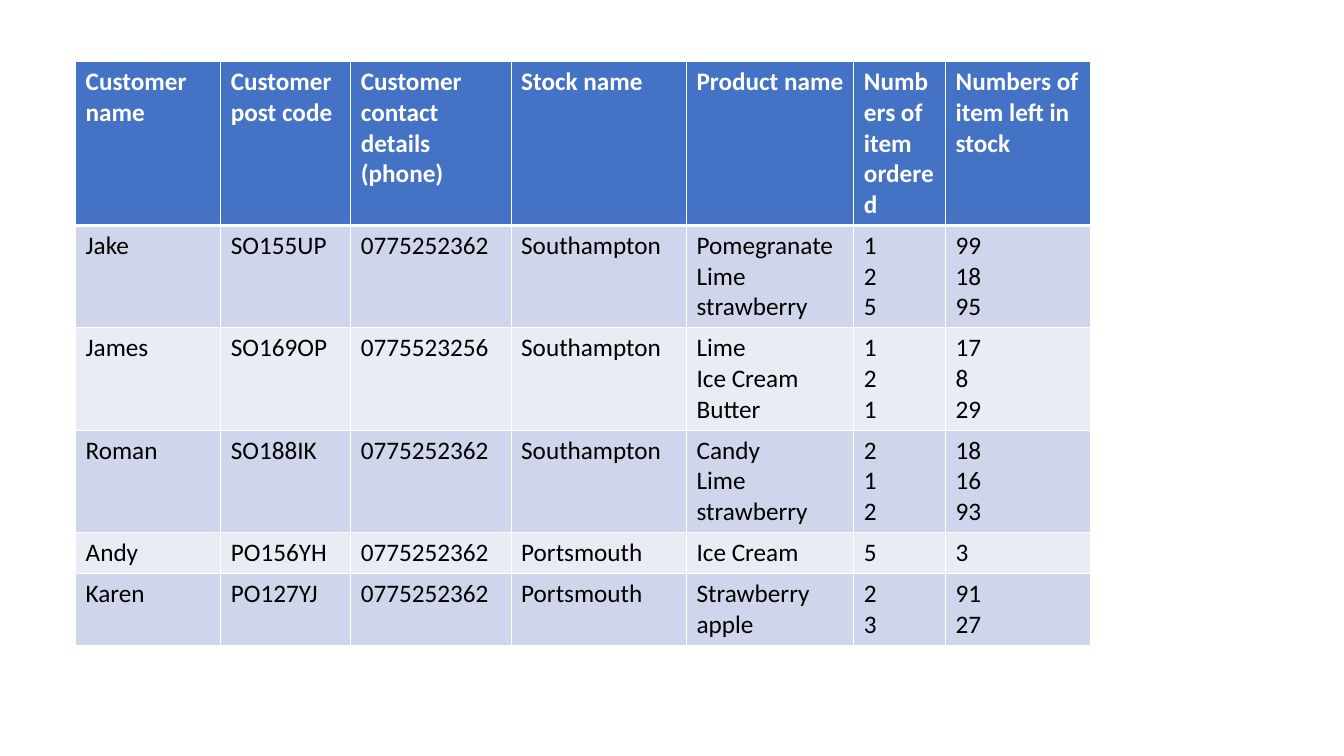
"""Build a slide with a table of customer orders and remaining stock."""
from lxml import etree
from pptx import Presentation
from pptx import util as u
from pptx.dml.color import RGBColor
from pptx.oxml import ns

WHITE = RGBColor(0xFF, 0xFF, 0xFF)
BLACK = RGBColor(0x00, 0x00, 0x00)
BLUE = RGBColor(0x44, 0x72, 0xC4)
BANDS = [RGBColor(0xE9, 0xEB, 0xF5), RGBColor(0xCF, 0xD5, 0xEA)]

ROWS = [
    ["Customer name", "Customer post code", "Customer contact details (phone)", "Stock name",
     "Product name", "Numbers of item ordered", "Numbers of item left in stock"],
    ["Jake", "SO155UP", "0775252362", "Southampton",
     "Pomegranate\nLime\nstrawberry", "1\n2\n5", "99\n18\n95"],
    ["James", "SO169OP", "0775523256", "Southampton",
     "Lime\nIce Cream\nButter", "1\n2\n1", "17\n8\n29"],
    ["Roman", "SO188IK", "0775252362", "Southampton",
     "Candy\nLime\nstrawberry", "2\n1\n2", "18\n16\n93"],
    ["Andy", "PO156YH", "0775252362", "Portsmouth", "Ice Cream", "5", "3"],
    ["Karen", "PO127YJ", "0775252362", "Portsmouth", "Strawberry\napple", "2\n3", "91\n27"],
]
WIDTHS = [1.44, 1.29, 1.59, 1.74, 1.66, 0.91, 1.44]
ROW_HEIGHT = 0.41


def set_borders(cell, widths):
    tcPr = cell._tc.get_or_add_tcPr()
    for i, (side, width) in enumerate(widths.items()):
        ln = etree.Element(ns.qn(f"a:ln{side}"), w=str(u.Pt(width)))
        fill = etree.SubElement(ln, ns.qn("a:solidFill"))
        etree.SubElement(fill, ns.qn("a:srgbClr"), val=str(WHITE))
        tcPr.insert(i, ln)


prs = Presentation()
prs.slide_width, prs.slide_height = u.Inches(13.33), u.Inches(7.5)
s = prs.slides.add_slide(prs.slide_layouts[6])

table = s.shapes.add_table(len(ROWS), len(WIDTHS), u.Inches(0.75), u.Inches(0.61),
                           u.Inches(sum(WIDTHS)), u.Inches(ROW_HEIGHT * len(ROWS))).table
for col, width in zip(table.columns, WIDTHS):
    col.width = u.Inches(width)

for i, row in enumerate(ROWS):
    table.rows[i].height = u.Inches(ROW_HEIGHT)
    header = i == 0
    font = {"name": "Calibri", "size": u.Pt(18), "bold": header}
    for j, value in enumerate(row):
        cell = table.cell(i, j)
        cell.text = value
        cell.fill.solid()
        cell.fill.fore_color.rgb = BLUE if header else BANDS[i % 2]
        set_borders(cell, {"L": 1, "R": 1, "T": 3 if i == 1 else 1, "B": 3 if header else 1})
        for p in cell.text_frame.paragraphs:
            for r in p.runs:
                for key, setting in font.items():
                    setattr(r.font, key, setting)
                r.font.color.rgb = WHITE if header else BLACK

prs.save("out.pptx")
